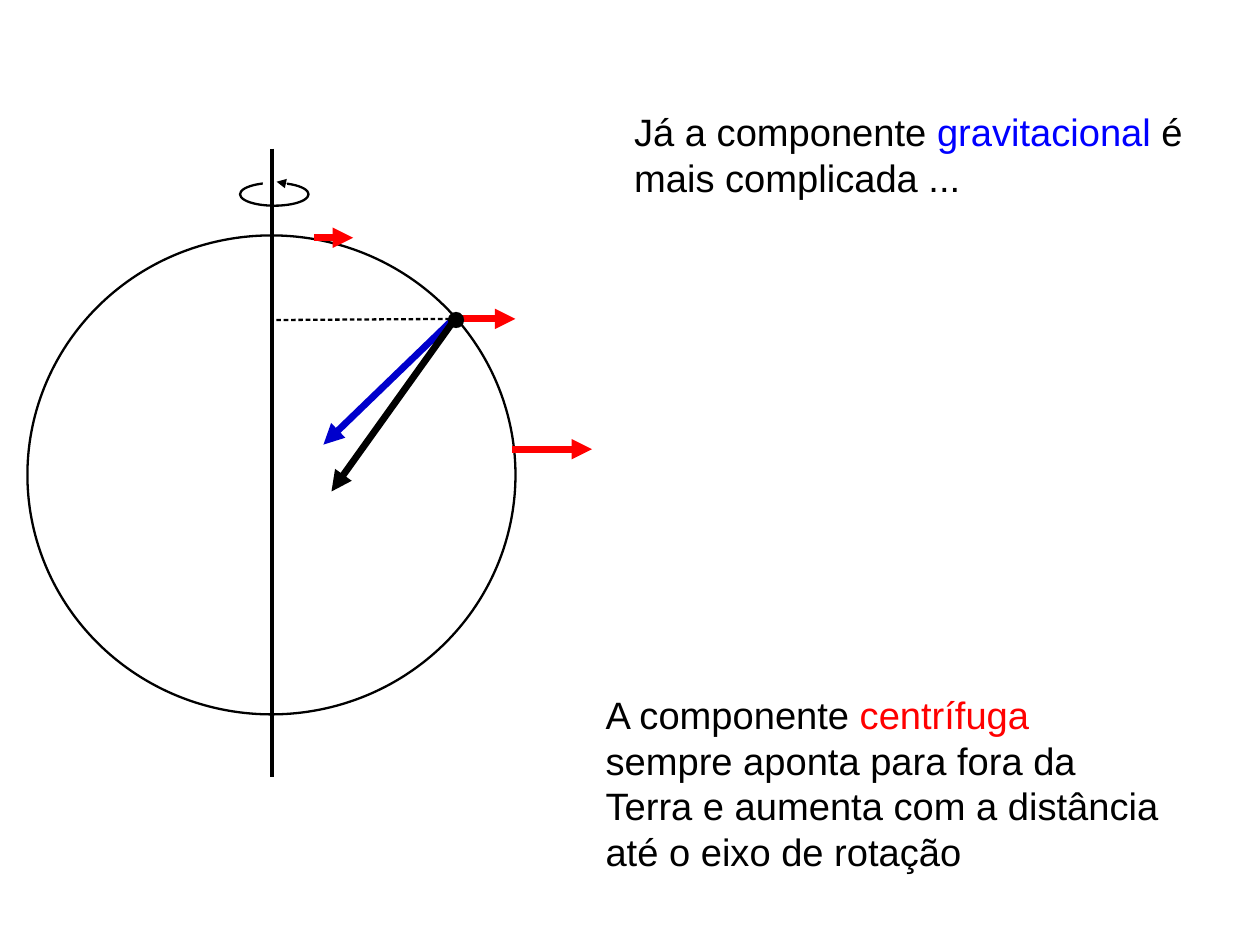
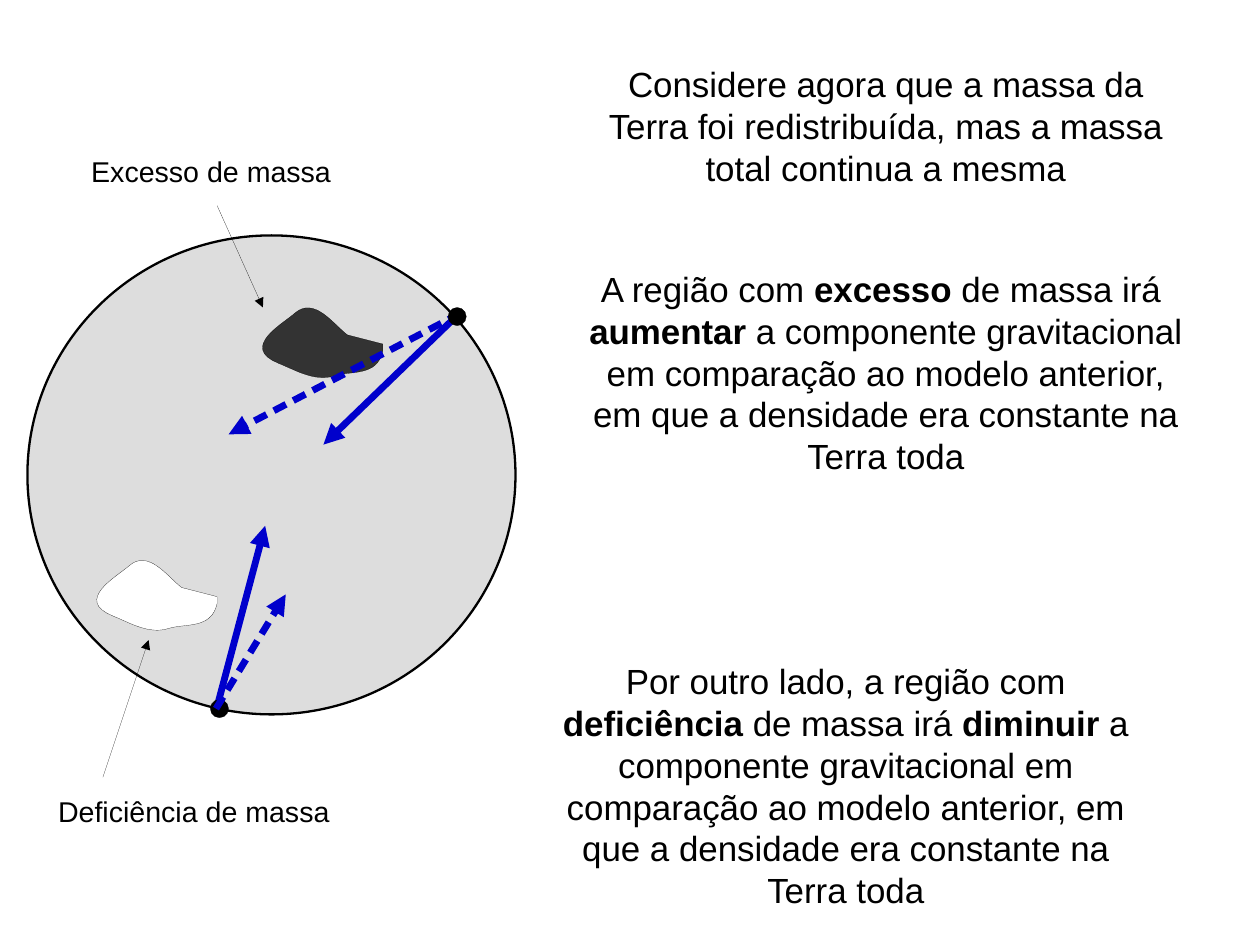
"""Two slides on the centrifugal and gravitational components of gravity."""
from dataclasses import dataclass

from lxml import etree
from pptx import Presentation
from pptx import util as u
from pptx.dml.color import RGBColor
from pptx.enum import shapes, text
from pptx.oxml import ns

BLACK = RGBColor(0x00, 0x00, 0x00)
WHITE = RGBColor(0xFF, 0xFF, 0xFF)
RED = RGBColor(0xFF, 0x00, 0x00)
BLUE = RGBColor(0x00, 0x00, 0xFF)
GRAVITY_BLUE = RGBColor(0x00, 0x00, 0xCC)
EARTH_GRAY = RGBColor(0xDD, 0xDD, 0xDD)
DENSE_GRAY = RGBColor(0x33, 0x33, 0x33)

FONT = "Arial"
HAIRLINE, THIN, AXIS, THICK = 0.1, 1.45, 2.89, 4.31
EARTH = (0.24, 2.06, 4.27, 4.19)
CURVE_STEPS = 16

MASS_START = (3.04, 2.93)
MASS_CURVES = (
    ((2.92, 2.84), (2.75, 2.59), (2.58, 2.74)),
    ((2.48, 2.83), (2.09, 3.04), (2.44, 3.18)),
    ((2.59, 3.24), (2.75, 3.34), (2.92, 3.29)),
    ((3.07, 3.24), (3.30, 3.30), (3.35, 3.07)),
)
MASS_CORNER = (3.35, 3.01)


@dataclass(frozen=True)
class Run:
    """A piece of text with its own colour and weight."""
    text: str
    color: RGBColor = BLACK
    bold: bool = False


@dataclass(frozen=True)
class Line:
    """A straight line, by default an arrow."""
    start: tuple[float, float]
    end: tuple[float, float]
    color: RGBColor = BLACK
    width: float = THICK
    arrow: bool = True
    dashed: bool = False


GRAVITY = Line((4.01, 2.75), (2.83, 3.89), GRAVITY_BLUE)


def add_line(slide, line: Line):
    """Draw a line with its dash and arrowhead."""
    cx = slide.shapes.add_connector(
        shapes.MSO_CONNECTOR.STRAIGHT,
        *(u.Inches(v) for v in line.start + line.end))
    cx.line.color.rgb = line.color
    cx.line.width = u.Pt(line.width)
    ln = cx.line._get_or_add_ln()
    if line.dashed:
        dash = etree.SubElement(ln, ns.qn("a:custDash"))
        etree.SubElement(dash, ns.qn("a:ds"), d="200000", sp="120000")
    if line.arrow:
        etree.SubElement(ln, ns.qn("a:tailEnd"), type="triangle")
    etree.SubElement(cx._element.spPr, ns.qn("a:effectLst"))


def style(sp, fill: RGBColor | None, color: RGBColor, width: float):
    """Set fill and outline and drop the shadow."""
    sp.shadow.inherit = False
    if fill is None:
        sp.fill.background()
    else:
        sp.fill.solid()
        sp.fill.fore_color.rgb = fill
    sp.line.color.rgb = color
    sp.line.width = u.Pt(width)


def add_shape(slide, box: tuple[float, float, float, float],
              fill: RGBColor | None = None, color: RGBColor = BLACK,
              width: float = THIN, kind=shapes.MSO_SHAPE.OVAL):
    """Draw a preset shape."""
    sp = slide.shapes.add_shape(kind, *(u.Inches(v) for v in box))
    style(sp, fill, color, width)


def add_dot(slide, center: tuple[float, float], size: float):
    """Draw a black observation point."""
    x, y = center
    add_shape(slide, (x - size / 2, y - size / 2, size, size),
              BLACK, width=HAIRLINE)


def mass_outline() -> list[tuple[float, float]]:
    """Return points along the curved outline of a mass anomaly."""
    points = [MASS_START]
    for c1, c2, end in MASS_CURVES:
        start = points[-1]
        for i in range(1, CURVE_STEPS + 1):
            t = i / CURVE_STEPS
            s = 1 - t
            points.append(tuple(
                s**3 * a + 3 * s * s * t * b + 3 * s * t * t * c + t**3 * d
                for a, b, c, d in zip(start, c1, c2, end)))
    return points + [MASS_CORNER]


def add_mass(slide, fill: RGBColor, dx: float = 0, dy: float = 0):
    """Draw a mass anomaly, moved by dx and dy."""
    points = [(u.Inches(x + dx), u.Inches(y + dy)) for x, y in mass_outline()]
    builder = slide.shapes.build_freeform(*points[0], scale=1.0)
    builder.add_line_segments(points[1:], close=True)
    style(builder.convert_to_shape(), fill, BLACK, HAIRLINE)


def add_text(slide, box: tuple[float, float, float, float], *runs: Run,
             size: float = 22, align=text.PP_ALIGN.CENTER, wrap: bool = True):
    """Write one paragraph made of formatted runs."""
    tf = slide.shapes.add_textbox(*(u.Inches(v) for v in box)).text_frame
    tf.word_wrap = wrap
    tf.auto_size = text.MSO_AUTO_SIZE.SHAPE_TO_FIT_TEXT
    p = tf.paragraphs[0]
    p.alignment = align
    for run in runs:
        r = p.add_run()
        r.text = run.text
        r.font.name = FONT
        r.font.size = u.Pt(size)
        r.font.bold = run.bold
        r.font.color.rgb = run.color


def build_components(slide):
    """Build the slide on the centrifugal component."""
    left = text.PP_ALIGN.LEFT
    add_line(slide, GRAVITY)
    add_line(slide, Line((3.98, 2.79), (4.51, 2.79), RED))
    add_shape(slide, EARTH)
    add_shape(slide, (2.1, 1.6, 0.6, 0.2))
    add_shape(slide, (2.3, 1.5, 0.2, 0.2), WHITE, WHITE, HAIRLINE,
              shapes.MSO_SHAPE.RECTANGLE)
    add_line(slide, Line((2.38, 1.3), (2.38, 6.8), width=AXIS, arrow=False))
    add_line(slide, Line((2.52, 1.61), (2.42, 1.59), width=HAIRLINE))
    add_line(slide, Line((4, 2.79), (2.38, 2.8), width=THIN,
                         arrow=False, dashed=True))
    add_dot(slide, (3.99, 2.8), 0.14)
    add_line(slide, Line((4.01, 2.75), (2.9, 4.3)))
    add_text(slide, (5.2, 6, 5.1, 1.6),
             Run("A componente "), Run("centrífuga", RED),
             Run(" sempre aponta para fora da Terra e aumenta com a "
                 "distância até o eixo de rotação"),
             size=24, align=left)
    add_line(slide, Line((2.75, 2.08), (3.09, 2.08), RED))
    add_line(slide, Line((4.48, 3.93), (5.18, 3.93), RED))
    add_text(slide, (5.45, 0.9, 5.1, 0.85),
             Run("Já a componente "), Run("gravitacional", BLUE),
             Run(" é mais complicada ..."), size=24, align=left)


def build_redistribution(slide):
    """Build the slide on redistributed mass."""
    comparison = Run(" a componente gravitacional em comparação ao modelo "
                     "anterior, em que a densidade era constante na "
                     "Terra toda")
    label = {"size": 18, "align": text.PP_ALIGN.LEFT, "wrap": False}
    add_shape(slide, EARTH, EARTH_GRAY)
    add_line(slide, GRAVITY)
    add_line(slide, Line((1.9, 6.18), (2.32, 4.6), GRAVITY_BLUE))
    add_dot(slide, (1.92, 6.2), 0.16)
    add_mass(slide, DENSE_GRAY)
    add_mass(slide, WHITE, dx=-1.45, dy=2.21)
    add_text(slide, (5.2, 0.5, 5.1, 1.12),
             Run("Considere agora que a massa da Terra foi redistribuída, "
                 "mas a massa total continua a mesma"))
    add_text(slide, (0.7, 1.3, 2.3, 0.38), Run("Excesso de massa"), **label)
    add_line(slide, Line((1.9, 1.8), (2.3, 2.69), width=HAIRLINE))
    add_text(slide, (0.41, 6.9, 2.6, 0.38), Run("Deficiência de massa"),
             **label)
    add_line(slide, Line((0.9, 6.8), (1.3, 5.6), width=HAIRLINE))
    add_text(slide, (5, 2.29, 5.5, 1.81),
             Run("A região com "), Run("excesso", bold=True),
             Run(" de massa irá  "), Run("aumentar", bold=True), comparison)
    add_text(slide, (4.65, 5.72, 5.5, 2.15),
             Run("Por outro lado, a região com "),
             Run("deficiência", bold=True), Run(" de massa irá "),
             Run("diminuir", bold=True), comparison)
    add_line(slide, Line((1.89, 6.2), (2.5, 5.2), GRAVITY_BLUE, dashed=True))
    add_line(slide, Line((4.03, 2.74), (2, 3.8), GRAVITY_BLUE, dashed=True))
    add_dot(slide, (4, 2.77), 0.16)


def main():
    """Build and save the presentation."""
    prs = Presentation()
    prs.slide_width = u.Cm(28)
    prs.slide_height = u.Cm(21)
    blank = prs.slide_layouts[6]
    build_components(prs.slides.add_slide(blank))
    build_redistribution(prs.slides.add_slide(blank))
    prs.save("out.pptx")


if __name__ == "__main__":
    main()
